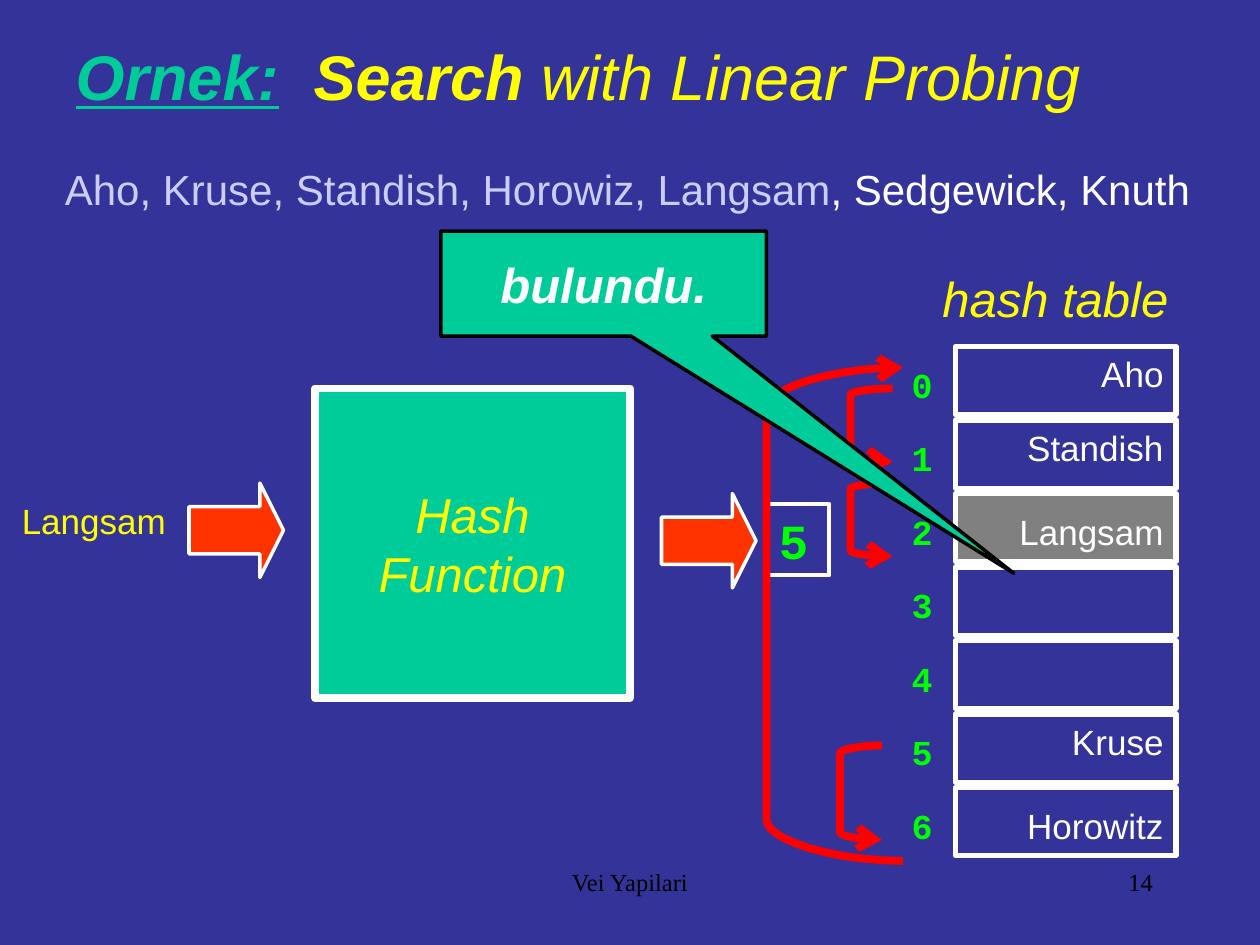
from dataclasses import dataclass
from typing import Optional

from lxml.etree import SubElement
from pptx import Presentation
from pptx.dml.color import RGBColor
from pptx.enum.shapes import MSO_SHAPE as Preset
from pptx.enum.text import MSO_ANCHOR as Anchor, MSO_AUTO_SIZE as AutoSize, PP_ALIGN as Align
from pptx.oxml.ns import qn
from pptx.util import Inches, Pt

NAVY = RGBColor(0x33, 0x33, 0x99)
GREEN = RGBColor(0x00, 0xCC, 0x99)
LIME = RGBColor(0x00, 0xFF, 0x00)
YELLOW = RGBColor(0xFF, 0xFF, 0x00)
ORANGE = RGBColor(0xFF, 0x33, 0x00)
RED = RGBColor(0xFF, 0x00, 0x00)
GRAY = RGBColor(0x80, 0x80, 0x80)
LILAC = RGBColor(0xCC, 0xCC, 0xFF)
WHITE = RGBColor(0xFF, 0xFF, 0xFF)
BLACK = RGBColor(0x00, 0x00, 0x00)

UNIT = Inches(1) // 12
CELL_LEFT, CELL_TOP, CELL_WIDTH, CELL_HEIGHT, CELL_STEP = 91, 33, 21, 6.5, 7
CURVE_STEPS = 10


@dataclass(frozen=True)
class Area:
    column: float
    row: float
    columns: float
    rows: float

    def lengths(self) -> tuple[int, ...]:
        return tuple(round(n * UNIT) for n in (self.column, self.row, self.columns, self.rows))


@dataclass(frozen=True)
class Style:
    size: float
    color: RGBColor
    name: str = "Arial"
    bold: bool = False
    italic: bool = False
    underline: bool = False


@dataclass(frozen=True)
class Span:
    text: str
    style: Style


@dataclass(frozen=True)
class Label:
    area: Area
    spans: tuple[Span, ...]
    align: Align = Align.LEFT


@dataclass(frozen=True)
class Probe:
    area: Area
    arrow: str


@dataclass(frozen=True)
class Entry:
    name: str = ""
    drop: float = 0
    fill: Optional[RGBColor] = None


def write(frame, spans: tuple[Span, ...], align: Align, anchor: Anchor = Anchor.TOP,
          wrap: bool = True) -> None:
    frame.auto_size = AutoSize.NONE
    frame.word_wrap = wrap
    frame.vertical_anchor = anchor
    para = frame.paragraphs[0]
    para.alignment = align
    for span in spans:
        run = para.add_run()
        run.text = span.text
        font, style = run.font, span.style
        font.name, font.size = style.name, Pt(style.size)
        font.bold, font.italic, font.underline = style.bold, style.italic, style.underline
        font.color.rgb = style.color


def add_label(page, label: Label) -> None:
    box = page.shapes.add_textbox(*label.area.lengths())
    write(box.text_frame, label.spans, label.align)


def paint(shape, fill: Optional[RGBColor], line: RGBColor, width: float) -> None:
    shape.shadow.inherit = False
    if fill is None:
        shape.fill.background()
    else:
        shape.fill.solid()
        shape.fill.fore_color.rgb = fill
    shape.line.color.rgb = line
    shape.line.width = Pt(width)


def add_block(page, preset: Preset, area: Area, fill: Optional[RGBColor], line: RGBColor,
              width: float, adjustments: tuple[float, ...] = ()):
    shape = page.shapes.add_shape(preset, *area.lengths())
    paint(shape, fill, line, width)
    for index, value in enumerate(adjustments):
        shape.adjustments[index] = value
    return shape


def add_probe(page, probe: Probe) -> None:
    left, top, width, height = probe.area.lengths()
    bend = height / 12
    upper = []
    for step in range(CURVE_STEPS + 1):
        t = step / CURVE_STEPS
        u = 1 - t
        x = left + width * (u**3 + 1.5 * u**2 * t)
        y = bend * (1.5 * u * t**2 + t**3)
        upper.append((x, y))
    points = [(round(x), round(top + y)) for x, y in upper]
    points += [(round(x), round(top + height - y)) for x, y in reversed(upper)]
    builder = page.shapes.build_freeform(*points[0])
    builder.add_line_segments(points[1:], close=False)
    shape = builder.convert_to_shape()
    paint(shape, None, RED, 4.5)
    outline = shape.line._get_or_add_ln()
    SubElement(outline, qn("a:round"))
    SubElement(outline, qn(f"a:{probe.arrow}"), type="arrow")


TITLE = Style(36, YELLOW, italic=True)
HEADING = Style(28, YELLOW, italic=True)
FOOTER = Style(14, BLACK, "Times New Roman")
ENTRY = Style(20, WHITE)
INDEX = Style(20, LIME, "Courier New", bold=True)

TITLE_SPANS = (
    Span("Ornek:", Style(36, GREEN, bold=True, italic=True, underline=True)),
    Span("  ", TITLE),
    Span("Search", Style(36, YELLOW, bold=True, italic=True)),
    Span(" with Linear Probing", TITLE),
)
LABELS = (
    Label(Area(5, 15, 111, 6), (
        Span("Aho, Kruse, Standish, Horowiz, Langsam", Style(24, LILAC)),
        Span(", Sedgewick, Knuth", Style(24, WHITE)),
    )),
    Label(Area(-1, 47, 18, 5.3), (Span("Langsam", Style(20, YELLOW)),), Align.RIGHT),
    Label(Area(87, 25, 27, 6.8), (Span("hash table", HEADING),), Align.CENTER),
    Label(Area(41, 82, 38, 6), (Span("Vei Yapilari", FOOTER),), Align.CENTER),
    Label(Area(86, 82, 25, 6), (Span("14", FOOTER),), Align.RIGHT),
)
ENTRIES = (Entry("Aho"), Entry("Standish"), Entry("Langsam", 1, GRAY), Entry(), Entry(),
           Entry("Kruse"), Entry("Horowitz", 1))
PROBES = (
    Probe(Area(80, 71, 4, 9), "tailEnd"),
    Probe(Area(73, 35, 13, 47), "headEnd"),
    Probe(Area(81, 37, 4, 7), "tailEnd"),
    Probe(Area(81, 46, 4, 7), "tailEnd"),
)
FLOW_ARROWS = (Area(18, 46, 9, 9), Area(63, 47, 9, 9))

deck = Presentation()
deck.slide_width, deck.slide_height = Inches(10), Inches(7.5)
page = deck.slides.add_slide(deck.slide_layouts[5])
page.background.fill.solid()
page.background.fill.fore_color.rgb = NAVY

title = page.shapes.title
title.left, title.top, title.width, title.height = Area(6, 3, 108, 8.4).lengths()
write(title.text_frame, TITLE_SPANS, Align.LEFT)

for label in LABELS:
    add_label(page, label)
for area in FLOW_ARROWS:
    add_block(page, Preset.RIGHT_ARROW, area, ORANGE, WHITE, 2, (0.5, 0.25))

for index, entry in enumerate(ENTRIES):
    row = CELL_TOP + index * CELL_STEP
    add_block(page, Preset.RECTANGLE, Area(CELL_LEFT, row, CELL_WIDTH, CELL_HEIGHT),
              entry.fill, WHITE, 3)
    add_label(page, Label(Area(80, row + 1, 10, 5.3), (Span(str(index), INDEX),), Align.RIGHT))
    if entry.name:
        add_label(page, Label(Area(CELL_LEFT, row + entry.drop, CELL_WIDTH, 5.3),
                              (Span(entry.name, ENTRY),), Align.RIGHT))

hash_value = add_block(page, Preset.RECTANGLE, Area(73, 48, 6, 6.8), None, WHITE, 2.25)
write(hash_value.text_frame, (Span("5", Style(28, LIME, "Courier New", bold=True)),), Align.LEFT)

hash_function = add_block(page, Preset.RECTANGLE, Area(30, 37, 30, 29.5), GREEN, WHITE, 4.5)
write(hash_function.text_frame, (Span("Hash Function", HEADING),), Align.CENTER, Anchor.MIDDLE)

for probe in PROBES:
    add_probe(page, probe)

callout = add_block(page, Preset.RECTANGULAR_CALLOUT, Area(42, 22, 31, 10), GREEN, BLACK, 2,
                    (1.26, 2.76))
write(callout.text_frame, (Span("bulundu.", Style(28, WHITE, bold=True, italic=True)),),
      Align.CENTER, Anchor.MIDDLE, wrap=False)

deck.save("out.pptx")
